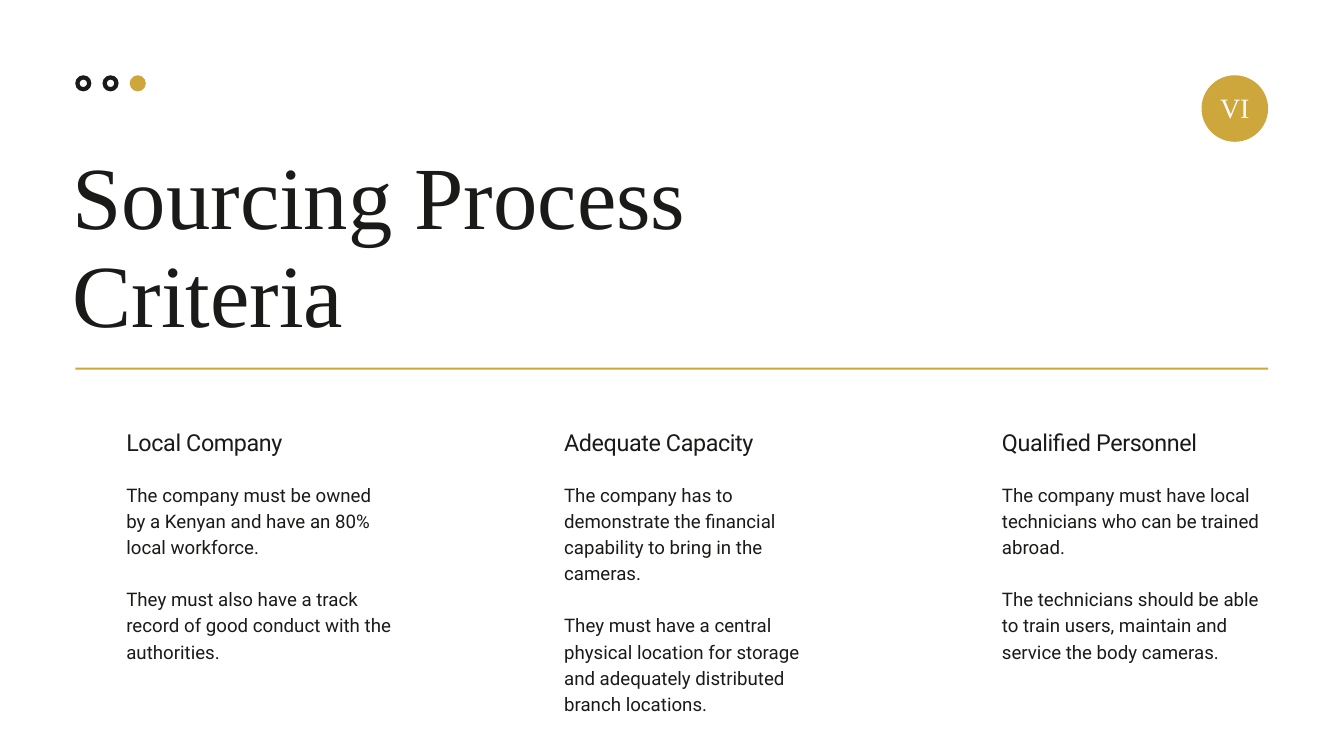
from pptx import Presentation
from pptx.dml.color import RGBColor
from pptx.enum.shapes import MSO_SHAPE
from pptx.enum.text import MSO_ANCHOR, MSO_AUTO_SIZE, PP_ALIGN
from pptx.util import Inches, Pt

COLORS = {"gold": "CDA63C", "ink": "1A1B18", "paper": "FAFAFA", "white": "FFFFFF"}
SERIF, SANS = "Times New Roman", "Roboto"

CRITERIA = [
    ("Local Company", [
        "The company must be owned by a Kenyan and have an 80% local workforce.",
        "They must also have a track record of good conduct with the authorities."]),
    ("Adequate Capacity", [
        "The company has to demonstrate the financial capability to bring in the cameras.",
        "They must have a central physical location for storage and adequately "
        "distributed branch locations."]),
    ("Qualified Personnel", [
        "The company must have local technicians who can be trained abroad.",
        "The technicians should be able to train users, maintain and service "
        "the body cameras."]),
]


def place(shape, left, top, width, height):
    shape.left, shape.top = Inches(left), Inches(top)
    shape.width, shape.height = Inches(width), Inches(height)


def add_filled(page, kind, left, top, width, height, color):
    shape = page.shapes.add_shape(
        kind, Inches(left), Inches(top), Inches(width), Inches(height))
    shape.shadow.inherit = False
    shape.fill.solid()
    shape.fill.fore_color.rgb = RGBColor.from_string(COLORS[color])
    shape.line.fill.background()
    return shape


def write(shape, texts, font, size, leading, color="ink", align=PP_ALIGN.LEFT,
          anchor=MSO_ANCHOR.TOP, gap=0, tracking=None):
    """Fill a shape with one paragraph per text, gap points apart."""
    frame = shape.text_frame
    frame.word_wrap = True
    frame.auto_size = MSO_AUTO_SIZE.NONE
    frame.vertical_anchor = anchor
    frame.margin_left = frame.margin_right = frame.margin_top = frame.margin_bottom = 0
    for index, text in enumerate(texts):
        para = frame.add_paragraph() if index else frame.paragraphs[0]
        para.alignment = align
        para.line_spacing = Pt(leading)
        para.space_before = Pt(gap if index else 0)
        span = para.add_run()
        span.text = text
        span.font.name = font
        span.font.size = Pt(size)
        span.font.color.rgb = RGBColor.from_string(COLORS[color])
        if tracking is not None:
            span.font._element.set("spc", str(round(tracking * 100)))


def add_dots(page, left, top, size=0.24, pitch=0.405):
    """Draw two rings and a closing solid dot."""
    for index in range(2):
        ring = add_filled(page, MSO_SHAPE.DONUT, left + index * pitch, top,
                          size, size, "ink")
        ring.adjustments[0] = 0.27
    add_filled(page, MSO_SHAPE.OVAL, left + 2 * pitch, top, size, size, "gold")


def add_badge(page, left, top, size):
    badge = add_filled(page, MSO_SHAPE.OVAL, left, top, size, size, "gold")
    write(badge, ["VI"], SERIF, 30, 33, "paper", PP_ALIGN.CENTER, MSO_ANCHOR.MIDDLE)


def add_header(page, left, top, width):
    badge_size = 0.99
    add_dots(page, left, top)
    add_badge(page, left + width - badge_size, top, badge_size)
    title = page.shapes.title
    place(title, left - 0.04, top + 1.11, 11.71, 2.93)
    write(title, ["Sourcing Process Criteria"], SERIF, 95, 104.5)
    add_filled(page, MSO_SHAPE.RECTANGLE, left, top + 4.35, width, 0.03, "gold")


def add_criterion(page, left, top, width, heading, texts):
    heading_box = page.shapes.add_textbox(
        Inches(left), Inches(top), Inches(width), Inches(0.49))
    write(heading_box, [heading], SANS, 25, 32.5, tracking=-0.4)
    body_box = page.shapes.add_textbox(
        Inches(left), Inches(top + 0.8), Inches(width), Inches(3.47))
    write(body_box, texts, SANS, 20, 28, gap=28)


def add_criteria(page, left, top, width):
    column = 3.96
    pitch = (width - column) / (len(CRITERIA) - 1)
    for index, (heading, texts) in enumerate(CRITERIA):
        add_criterion(page, left + index * pitch, top, column, heading, texts)


def main():
    deck = Presentation()
    deck.slide_width, deck.slide_height = Inches(20), Inches(11.25)
    page = deck.slides.add_slide(deck.slide_layouts.get_by_name("Title Only"))
    page.background.fill.solid()
    page.background.fill.fore_color.rgb = RGBColor.from_string(COLORS["white"])
    add_header(page, 1.12, 1.12, 17.75)
    add_criteria(page, 1.88, 6.34, 16.99)
    deck.save("out.pptx")


if __name__ == "__main__":
    main()
